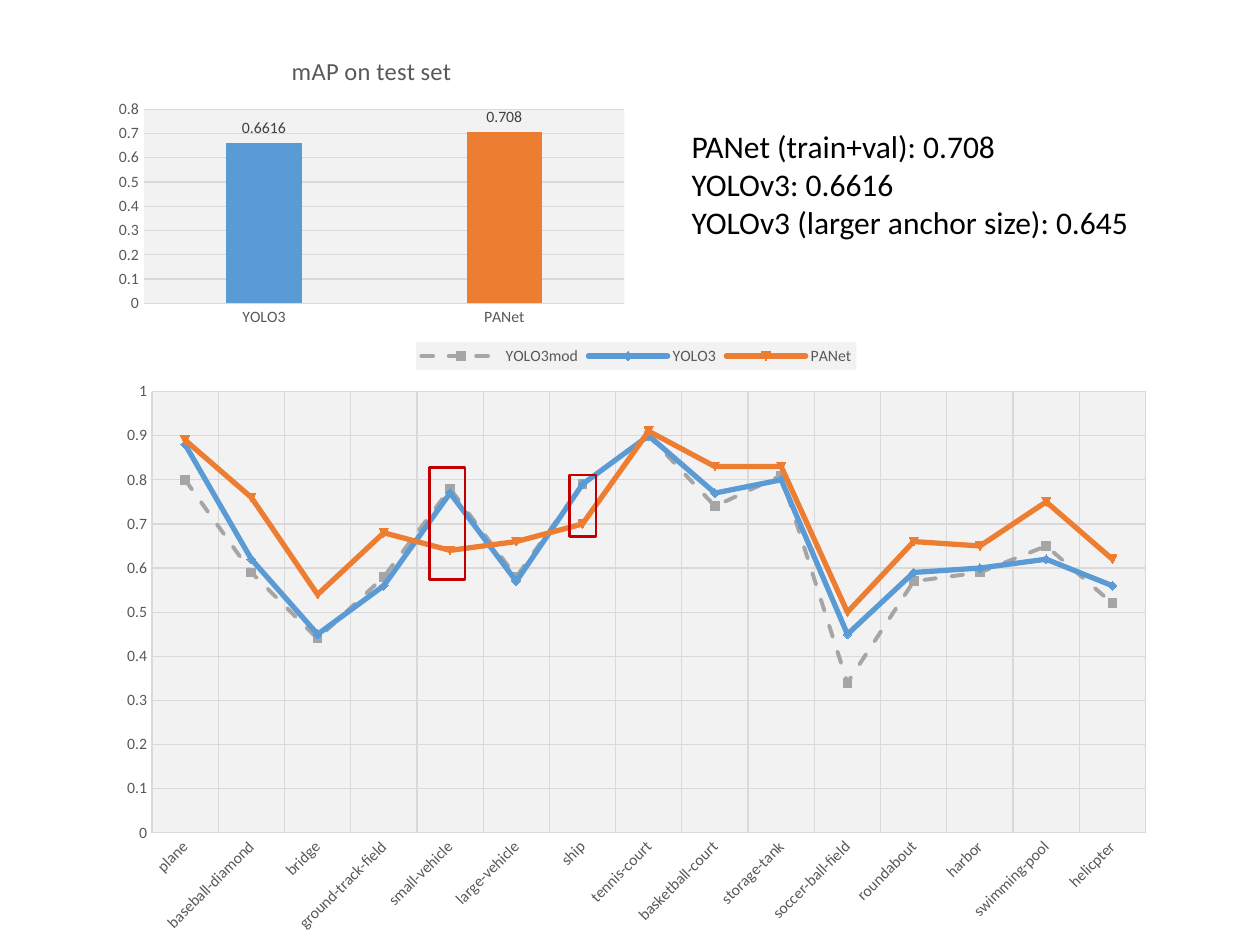
from lxml import etree
from pptx import Presentation
from pptx.chart.data import CategoryChartData
from pptx.dml.color import RGBColor
from pptx.enum.chart import XL_CHART_TYPE as ChartType
from pptx.enum.chart import XL_LABEL_POSITION as LabelPos
from pptx.enum.chart import XL_LEGEND_POSITION as LegendPos
from pptx.enum.chart import XL_TICK_MARK as TickMark
from pptx.enum.dml import MSO_LINE_DASH_STYLE as Dash
from pptx.enum.shapes import MSO_SHAPE as Shape
from pptx.enum.text import MSO_AUTO_SIZE as AutoSize
from pptx.oxml import parse_xml
from pptx.oxml.ns import nsdecls, qn
from pptx.util import Inches, Pt

GREY, BLUE, ORANGE = "A5A5A5", "5B9BD5", "ED7D31"
PANEL, RULE, LABEL = "F2F2F2", "D9D9D9", "595959"


def rgb(value):
    return RGBColor.from_string(value)


def style_chart(chart, top, step):
    chart.font.size = Pt(10)
    chart.font.name = "Calibri"
    chart.font.color.rgb = rgb("000000")
    panel_fill = parse_xml(
        f'<c:spPr {nsdecls("c", "a")}><a:solidFill><a:srgbClr val="{PANEL}"/>'
        "</a:solidFill><a:ln><a:noFill/></a:ln></c:spPr>"
    )
    chart.value_axis._element.getparent().append(panel_fill)
    for axis in (chart.category_axis, chart.value_axis):
        axis.major_tick_mark = TickMark.NONE
        axis.minor_tick_mark = TickMark.NONE
        labels = axis.tick_labels.font
        labels.size, labels.name = Pt(9), "Calibri"
        labels.color.rgb = rgb(LABEL)
    base_line = chart.category_axis.format.line
    base_line.color.rgb = rgb(RULE)
    base_line.width = Pt(0.75)
    chart.value_axis.format.line.fill.background()
    chart.value_axis.minimum_scale = 0
    chart.value_axis.maximum_scale = top
    chart.value_axis.major_unit = step
    return panel_fill


prs = Presentation()
prs.slide_width, prs.slide_height = Inches(10), Inches(7.5)
slide = prs.slides.add_slide(prs.slide_layouts[6])

map_data = CategoryChartData()
map_data.categories = ["YOLO3", "PANet"]
map_data.add_series("Series 1", [0.6616, 0.708])
map_chart = slide.shapes.add_chart(
    ChartType.COLUMN_CLUSTERED,
    Inches(0.86), Inches(0.29), Inches(4.18), Inches(2.35), map_data,
).chart
style_chart(map_chart, 0.8, 0.1)
map_chart.has_legend = False
map_chart.has_title = True
map_chart.chart_title.include_in_layout = False
map_title = map_chart.chart_title.text_frame
map_title.text = "mAP on test set"
title_font = map_title.paragraphs[0].font
title_font.size, title_font.bold, title_font.name = Pt(14), False, "Calibri"
title_font.color.rgb = rgb(LABEL)

bars = map_chart.plots[0]
bars.vary_by_categories = False
bars.gap_width, bars.overlap = 219, -27
for index, color in enumerate((BLUE, ORANGE)):
    bar_fill = bars.series[0].points[index].format.fill
    bar_fill.solid()
    bar_fill.fore_color.rgb = rgb(color)
bars.has_data_labels = True
scores = bars.data_labels
scores.show_value = True
scores.position = LabelPos.OUTSIDE_END
scores.font.size, scores.font.name = Pt(9), "Calibri"
scores.font.color.rgb = rgb("404040")

summary = slide.shapes.add_textbox(
    Inches(5.39), Inches(0.96), Inches(3.77), Inches(1.01)
).text_frame
summary.word_wrap = False
summary.auto_size = AutoSize.SHAPE_TO_FIT_TEXT
summary.text = (
    "PANet (train+val): 0.708\nYOLOv3: 0.6616\nYOLOv3 (larger anchor size): 0.645"
)
for result in summary.paragraphs:
    result.font.size, result.font.name = Pt(18), "Calibri"
    result.font.color.rgb = rgb("000000")

class_data = CategoryChartData()
class_data.categories = [
    "plane", "baseball-diamond", "bridge", "ground-track-field", "small-vehicle",
    "large-vehicle", "ship", "tennis-court", "basketball-court", "storage-tank",
    "soccer-ball-field", "roundabout", "harbor", "swimming-pool", "helicpter",
]
models = [
    ("YOLO3mod", GREY, 2.25, Dash.DASH,
     [0.8, 0.59, 0.44, 0.58, 0.78, 0.58, 0.79, 0.9, 0.74, 0.81, 0.34, 0.57, 0.59, 0.65, 0.52]),
    ("YOLO3", BLUE, 3, None,
     [0.88, 0.62, 0.45, 0.56, 0.77, 0.57, 0.79, 0.9, 0.77, 0.8, 0.45, 0.59, 0.6, 0.62, 0.56]),
    ("PANet", ORANGE, 3, None,
     [0.89, 0.76, 0.54, 0.68, 0.64, 0.66, 0.7, 0.91, 0.83, 0.83, 0.5, 0.66, 0.65, 0.75, 0.62]),
]
for name, color, width, dash, precision in models:
    class_data.add_series(name, precision)
class_chart = slide.shapes.add_chart(
    ChartType.LINE,
    Inches(0.84), Inches(2.64), Inches(8.42), Inches(4.86), class_data,
).chart
class_panel = style_chart(class_chart, 1, 0.1)
class_chart.has_title = False
class_chart.category_axis.has_major_gridlines = True
class_names = class_chart.category_axis._element.find(qn("c:txPr"))
class_names.find(qn("a:bodyPr")).set("rot", "-2700000")
for series, (name, color, width, dash, precision) in zip(class_chart.plots[0].series, models):
    series.smooth = False
    series.marker.style = None
    series.format.line.color.rgb = rgb(color)
    series.format.line.width = Pt(width)
    series.format.line.dash_style = dash
    series.format.line._get_or_add_ln().set("cap", "rnd")

class_chart.has_legend = True
legend = class_chart.legend
legend.position = LegendPos.TOP
legend.include_in_layout = False
legend.font.size, legend.font.name = Pt(9), "Calibri"
legend.font.color.rgb = rgb(LABEL)
legend_fill = etree.fromstring(etree.tostring(class_panel))
legend._element.find(qn("c:txPr")).addprevious(legend_fill)

for axis in (map_chart.value_axis, class_chart.value_axis, class_chart.category_axis):
    grid = axis.major_gridlines.format.line
    grid.color.rgb = rgb(RULE)
    grid.width = Pt(0.75)

for left, top, width, height in ((3.41, 3.71, 0.28, 0.89), (4.52, 3.77, 0.21, 0.49)):
    highlight = slide.shapes.add_shape(
        Shape.RECTANGLE, Inches(left), Inches(top), Inches(width), Inches(height)
    )
    highlight.shadow.inherit = False
    highlight.fill.background()
    highlight.line.color.rgb = rgb("C00000")
    highlight.line.width = Pt(1.5)

prs.save("out.pptx")
